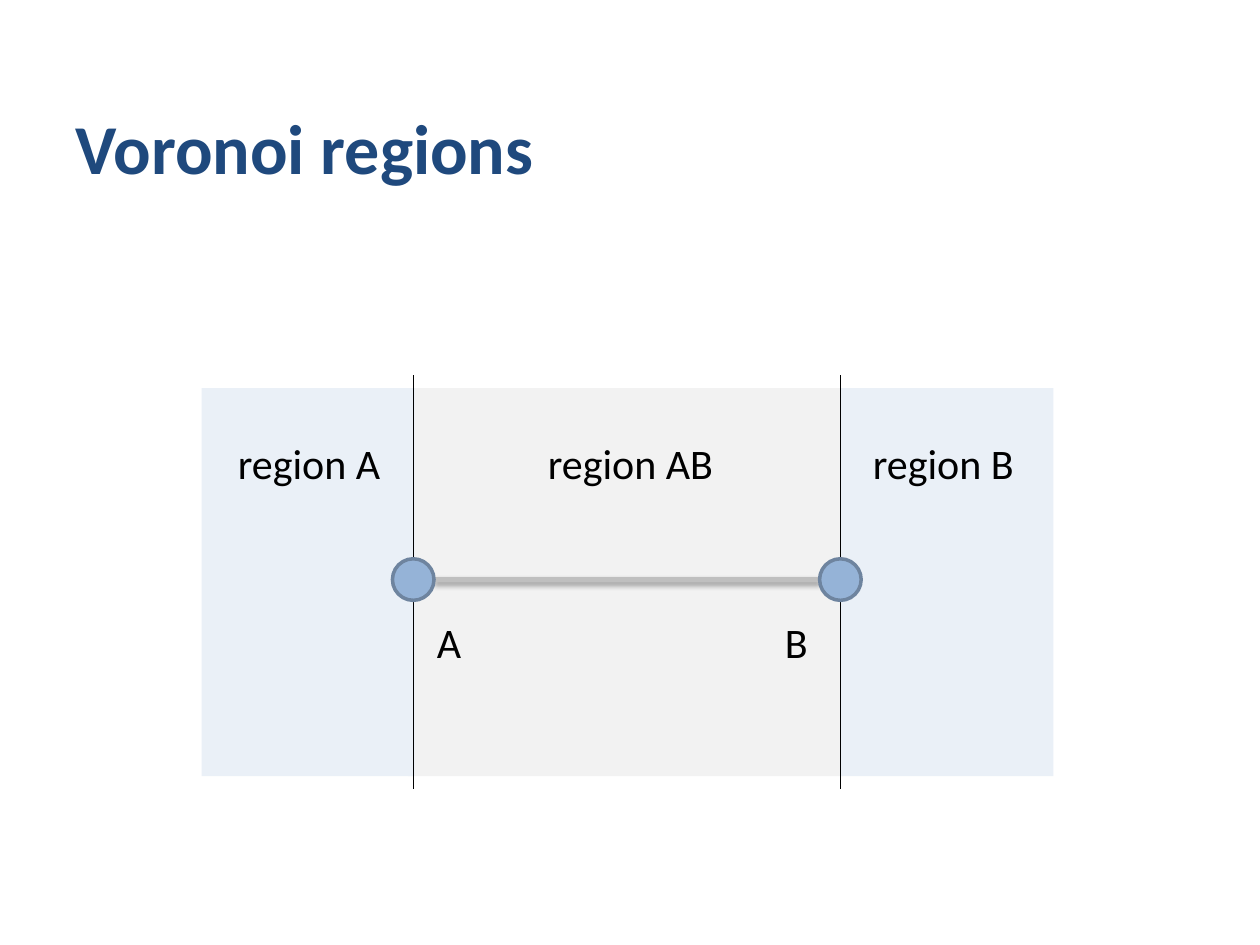
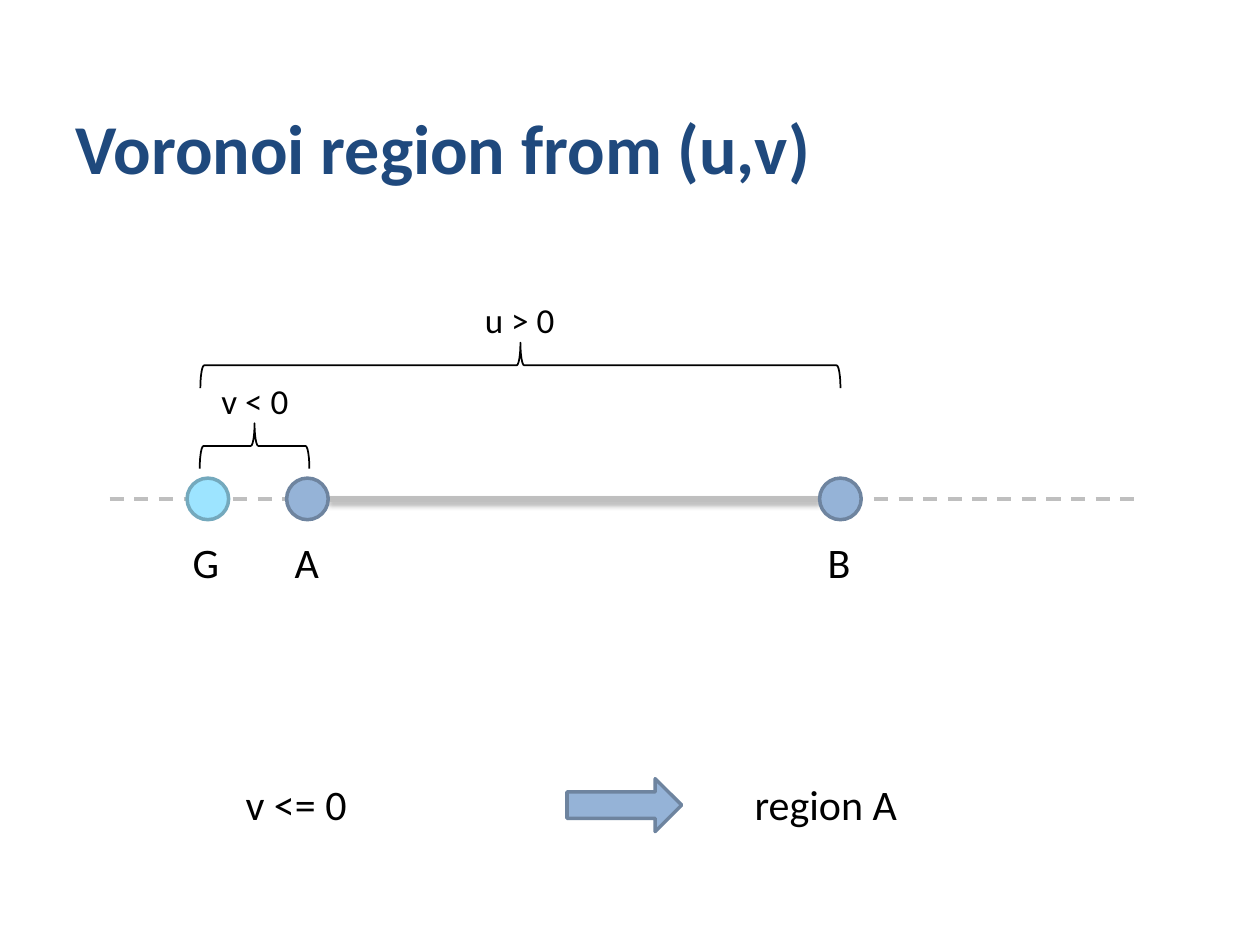
from lxml import etree
from pptx import Presentation
from pptx.dml.color import RGBColor
from pptx.enum.dml import MSO_LINE
from pptx.enum.shapes import MSO_CONNECTOR, MSO_SHAPE
from pptx.enum.text import MSO_ANCHOR, MSO_AUTO_SIZE, PP_ALIGN
from pptx.oxml.ns import qn
from pptx.util import Inches, Pt

RECTANGLE, OVAL = MSO_SHAPE.RECTANGLE, MSO_SHAPE.OVAL
RIGHT_ARROW, LEFT_BRACE = MSO_SHAPE.RIGHT_ARROW, MSO_SHAPE.LEFT_BRACE
STRAIGHT, DASH = MSO_CONNECTOR.STRAIGHT, MSO_LINE.DASH

FONT = "Calibri"
BLACK = RGBColor(0x00, 0x00, 0x00)
NAVY = RGBColor(0x1F, 0x49, 0x7D)
GRAY = RGBColor(0xBF, 0xBF, 0xBF)
EDGE_REGION = RGBColor(0xF2, 0xF2, 0xF2)
VERTEX_REGION = RGBColor(0xEA, 0xF0, 0xF7)
BLUE = RGBColor(0x95, 0xB3, 0xD7)
BLUE_EDGE = RGBColor(0x6E, 0x84, 0x9F)
CYAN = RGBColor(0x9D, 0xE4, 0xFF)
CYAN_EDGE = RGBColor(0x74, 0xA9, 0xBD)

POINT_SIZE = 0.33
BRACE_DEPTH = 0.36
LABEL_HEIGHT = {24: 0.5, 20: 0.44}

# Slide 1: two vertices and the three regions they separate
REGIONS_TITLE = "Voronoi regions"
REGION_TOP, REGION_HEIGHT = 3.08, 3.08
REGIONS = [  # left, width, fill
    (3.24, 3.45, EDGE_REGION),
    (6.67, 1.69, VERTEX_REGION),
    (1.6, 1.69, VERTEX_REGION),
]
BOUNDARIES = (3.28, 6.67)
BOUNDARY_OVERHANG = 0.1
REGIONS_SEGMENT_Y = 4.6
REGION_LABELS = [("region A", 1.79, 1.34), ("region AB", 4.25, 1.52), ("region B", 6.83, 1.34)]
REGION_LABEL_TOP = 3.42
VERTEX_LABELS = [("A", 3.37, 0.4), ("B", 6.13, 0.38)]
VERTEX_LABEL_TOP = 4.84

# Slide 2: the point G lies before A, so it belongs to region A
TEST_TITLE = "Voronoi region from (u,v)"
TEST_AXIS = (0.87, 9.01)
TEST_Y = 3.96
TEST_A, TEST_B, TEST_G = 2.44, 6.67, 1.65
POINT_LABELS = [("A", 2.24, 0.4), ("G", 1.43, 0.41), ("B", 6.47, 0.38)]
POINT_LABEL_TOP = 4.21
BRACES = [  # centre x, centre y, span, label, label left, label top, label width
    (2.02, 3.54, 0.87, "v < 0", 1.66, 2.96, 0.74),
    (4.13, 2.9, 5.08, "u > 0", 3.75, 2.32, 0.76),
]
RULE_LABELS = [("v <= 0", 1.85, 2.18), ("region A", 5.89, 1.82)]
RULE_TOP = 6.13
RULE_ARROW = (4.5, 6.18, 0.91, 0.42)


def add_titled_slide(presentation, text):
    slide = presentation.slides.add_slide(presentation.slide_layouts[5])
    title = slide.shapes.title
    title.left, title.top = Inches(0.5), Inches(0.13)
    title.width, title.height = Inches(8.25), Inches(1.42)
    frame = title.text_frame
    frame.auto_size = MSO_AUTO_SIZE.NONE
    frame.vertical_anchor = MSO_ANCHOR.BOTTOM
    frame.paragraphs[0].alignment = PP_ALIGN.LEFT
    add_run(frame, text, 40, NAVY, bold=True)
    return slide


def add_run(frame, text, size, color, bold=False):
    run = frame.paragraphs[0].add_run()
    run.text = text
    run.font.name, run.font.size, run.font.bold = FONT, Pt(size), bold
    run.font.color.rgb = color


def add_label(slide, text, left, top, width, size=24, wrap=False):
    box = slide.shapes.add_textbox(
        Inches(left), Inches(top), Inches(width), Inches(LABEL_HEIGHT[size]))
    box.text_frame.word_wrap = wrap
    box.text_frame.auto_size = MSO_AUTO_SIZE.SHAPE_TO_FIT_TEXT
    add_run(box.text_frame, text, size, BLACK)


def add_label_row(slide, labels, top, wrap=False):
    for text, left, width in labels:
        add_label(slide, text, left, top, width, wrap=wrap)


def add_figure(slide, kind, box, fill=None, edge=None, weight=2):
    """Add a preset shape; without a fill or an edge that part stays clear."""
    shape = slide.shapes.add_shape(kind, *map(Inches, box))
    shape.shadow.inherit = False
    if fill is None:
        shape.fill.background()
    else:
        shape.fill.solid()
        shape.fill.fore_color.rgb = fill
    if edge is None:
        shape.line.fill.background()
    else:
        shape.line.color.rgb = edge
        shape.line.width = Pt(weight)
    return shape


def add_line(slide, start, end, color, weight):
    """Add a straight line; return it with its empty effect list."""
    line = slide.shapes.add_connector(STRAIGHT, *map(Inches, start + end))
    line.line.color.rgb = color
    line.line.width = Pt(weight)
    effects = etree.SubElement(line._element.spPr, qn("a:effectLst"))
    return line, effects


def add_point(slide, x, y, fill=BLUE, edge=BLUE_EDGE):
    radius = POINT_SIZE / 2
    add_figure(slide, OVAL, (x - radius, y - radius, POINT_SIZE, POINT_SIZE), fill, edge)


def add_segment(slide, start_x, end_x, y):
    """Join two points with a shadowed line between their rims."""
    radius = POINT_SIZE / 2
    _, effects = add_line(slide, (start_x + radius, y), (end_x - radius, y), GRAY, 3)
    shadow = etree.SubElement(
        effects, qn("a:outerShdw"), blurRad=str(Pt(3.1)), dist=str(Pt(1.8)),
        dir="5400000", rotWithShape="0")
    color = etree.SubElement(shadow, qn("a:srgbClr"), val=str(BLACK))
    etree.SubElement(color, qn("a:alpha"), val="35000")
    for x in (end_x, start_x):
        add_point(slide, x, y)


def add_brace(slide, center_x, center_y, span):
    """Turn a left brace so that its tip points up."""
    box = (center_x - BRACE_DEPTH / 2, center_y - span / 2, BRACE_DEPTH, span)
    add_figure(slide, LEFT_BRACE, box, edge=BLACK, weight=1).rotation = 90


def build_regions_slide(presentation):
    slide = add_titled_slide(presentation, REGIONS_TITLE)
    for left, width, fill in REGIONS:
        add_figure(slide, RECTANGLE, (left, REGION_TOP, width, REGION_HEIGHT), fill)
    top = REGION_TOP - BOUNDARY_OVERHANG
    bottom = REGION_TOP + REGION_HEIGHT + BOUNDARY_OVERHANG
    for x in BOUNDARIES:
        add_line(slide, (x, top), (x, bottom), BLACK, 0.75)
    add_segment(slide, *BOUNDARIES, REGIONS_SEGMENT_Y)
    add_label_row(slide, VERTEX_LABELS, VERTEX_LABEL_TOP)
    add_label_row(slide, REGION_LABELS, REGION_LABEL_TOP)


def build_test_slide(presentation):
    slide = add_titled_slide(presentation, TEST_TITLE)
    axis_start, axis_end = TEST_AXIS
    axis, _ = add_line(slide, (axis_start, TEST_Y), (axis_end, TEST_Y), GRAY, 2)
    axis.line.dash_style = DASH
    add_segment(slide, TEST_A, TEST_B, TEST_Y)
    add_point(slide, TEST_G, TEST_Y, CYAN, CYAN_EDGE)
    add_label_row(slide, POINT_LABELS, POINT_LABEL_TOP)
    add_label_row(slide, RULE_LABELS, RULE_TOP, wrap=True)
    add_figure(slide, RIGHT_ARROW, RULE_ARROW, BLUE, BLUE_EDGE)
    for center_x, center_y, span, text, left, top, width in BRACES:
        add_brace(slide, center_x, center_y, span)
        add_label(slide, text, left, top, width, size=20)


def main():
    presentation = Presentation()
    presentation.slide_width, presentation.slide_height = Inches(10), Inches(7.5)
    build_regions_slide(presentation)
    build_test_slide(presentation)
    presentation.save("out.pptx")


if __name__ == "__main__":
    main()
